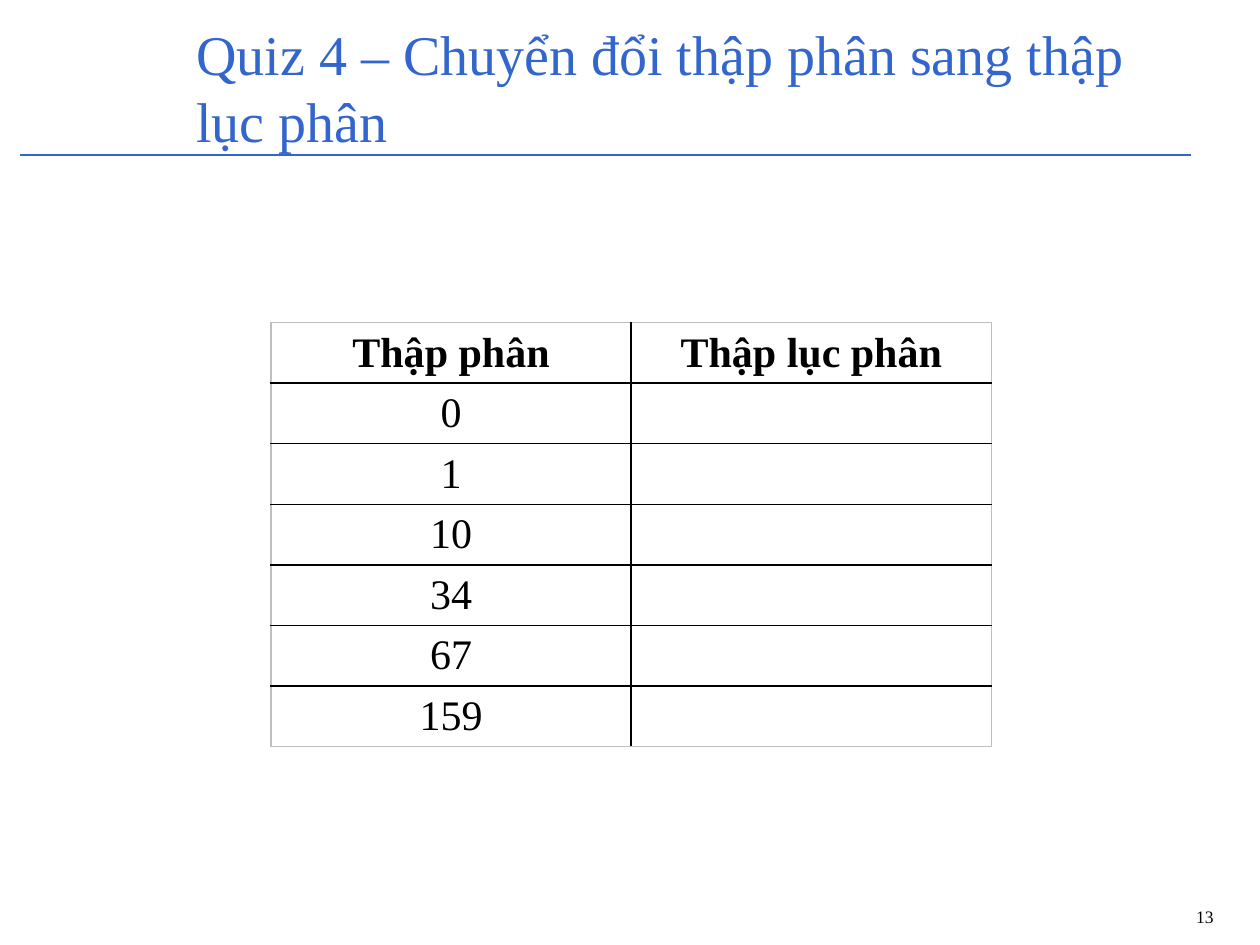
"""Build the decimal to hexadecimal quiz slide."""
from dataclasses import dataclass

import pptx
import pptx.dml.color
import pptx.enum.shapes
import pptx.enum.text
import pptx.oxml
import pptx.oxml.ns
import pptx.util

Pt = pptx.util.Pt
ALIGN = pptx.enum.text.PP_ALIGN
ANCHOR = pptx.enum.text.MSO_ANCHOR
FONT = "Times New Roman"
COLORS = {"blue": "3366CC", "black": "000000", "grey": "BFBFBF"}
HEADERS = ("Thập phân", "Thập lục phân")
DECIMALS = (0, 1, 10, 34, 67, 159)


@dataclass(frozen=True)
class Label:
    """A text box with its place in points and its type style."""
    text: str
    left: float
    top: float
    width: float
    height: float
    size: float
    color: str
    align: ALIGN
    anchor: ANCHOR


LABELS = (
    Label("Quiz 4 – Chuyển đổi thập phân sang thập lục phân",
          105.1, 22.3, 578.9, 54.7, 32, "blue", ALIGN.LEFT, ANCHOR.MIDDLE),
    Label("13", 562.3, 514.1, 138.2, 23, 10, "black", ALIGN.RIGHT, ANCHOR.TOP),
)


def rgb(name: str) -> pptx.dml.color.RGBColor:
    """Return the named colour."""
    return pptx.dml.color.RGBColor.from_string(COLORS[name])


def set_text(frame, text: str, size: float, color: str, align: ALIGN, bold: bool = False) -> None:
    """Write one paragraph and format its run."""
    frame.text = text
    paragraph = frame.paragraphs[0]
    paragraph.alignment = align
    for span in paragraph.runs:
        span.font.name = FONT
        span.font.size = Pt(size)
        span.font.bold = bold
        span.font.color.rgb = rgb(color)


def add_label(page, label: Label) -> None:
    """Draw a text box."""
    box = page.shapes.add_textbox(Pt(label.left), Pt(label.top), Pt(label.width), Pt(label.height))
    box.text_frame.word_wrap = True
    box.text_frame.vertical_anchor = label.anchor
    set_text(box.text_frame, label.text, label.size, label.color, label.align)


def add_rule(page) -> None:
    """Draw the line under the title."""
    rule = page.shapes.add_connector(
        pptx.enum.shapes.MSO_CONNECTOR.STRAIGHT, Pt(11.5), Pt(88.5), Pt(680.4), Pt(88.5))
    rule.line.color.rgb = rgb("blue")
    rule.line.width = Pt(0.75)
    properties = rule._element.spPr
    properties.append(properties.makeelement(pptx.oxml.ns.qn("a:effectLst"), {}))


def set_borders(cell, edges: dict[str, bool]) -> None:
    """Draw the four cell borders, grey on the outside of the table."""
    properties = cell._tc.get_or_add_tcPr()
    for index, (side, outer) in enumerate(edges.items()):
        color = COLORS["grey" if outer else "black"]
        properties.insert(index, pptx.oxml.parse_xml(
            f'<a:ln{side} {pptx.oxml.ns.nsdecls("a")} w="{Pt(1)}"><a:solidFill>'
            f'<a:srgbClr val="{color}"/></a:solidFill></a:ln{side}>'))


def add_quiz_table(page) -> None:
    """Draw the table with an empty answer column."""
    rows = [HEADERS] + [(str(number), "") for number in DECIMALS]
    last_row, last_column = len(rows) - 1, len(HEADERS) - 1
    table = page.shapes.add_table(
        len(rows), len(HEADERS), Pt(154.8), Pt(184.3), Pt(411.8), Pt(239.4)).table
    table.first_row = False
    table.horz_banding = False
    for row, values in enumerate(rows):
        for column, value in enumerate(values):
            cell = table.cell(row, column)
            cell.fill.background()
            cell.margin_left = cell.margin_right = Pt(5.4)
            cell.margin_top = cell.margin_bottom = Pt(2.9)
            cell.vertical_anchor = ANCHOR.MIDDLE
            set_text(cell.text_frame, value, 24, "black", ALIGN.CENTER, row == 0)
            set_borders(cell, {"L": column == 0, "R": column == last_column,
                               "T": row == 0, "B": row == last_row})


def main() -> None:
    """Build and save the deck."""
    deck = pptx.Presentation()
    deck.slide_width, deck.slide_height = Pt(720), Pt(540)
    page = deck.slides.add_slide(deck.slide_layouts[6])
    add_rule(page)
    for label in LABELS:
        add_label(page, label)
    add_quiz_table(page)
    deck.save("out.pptx")


main()
